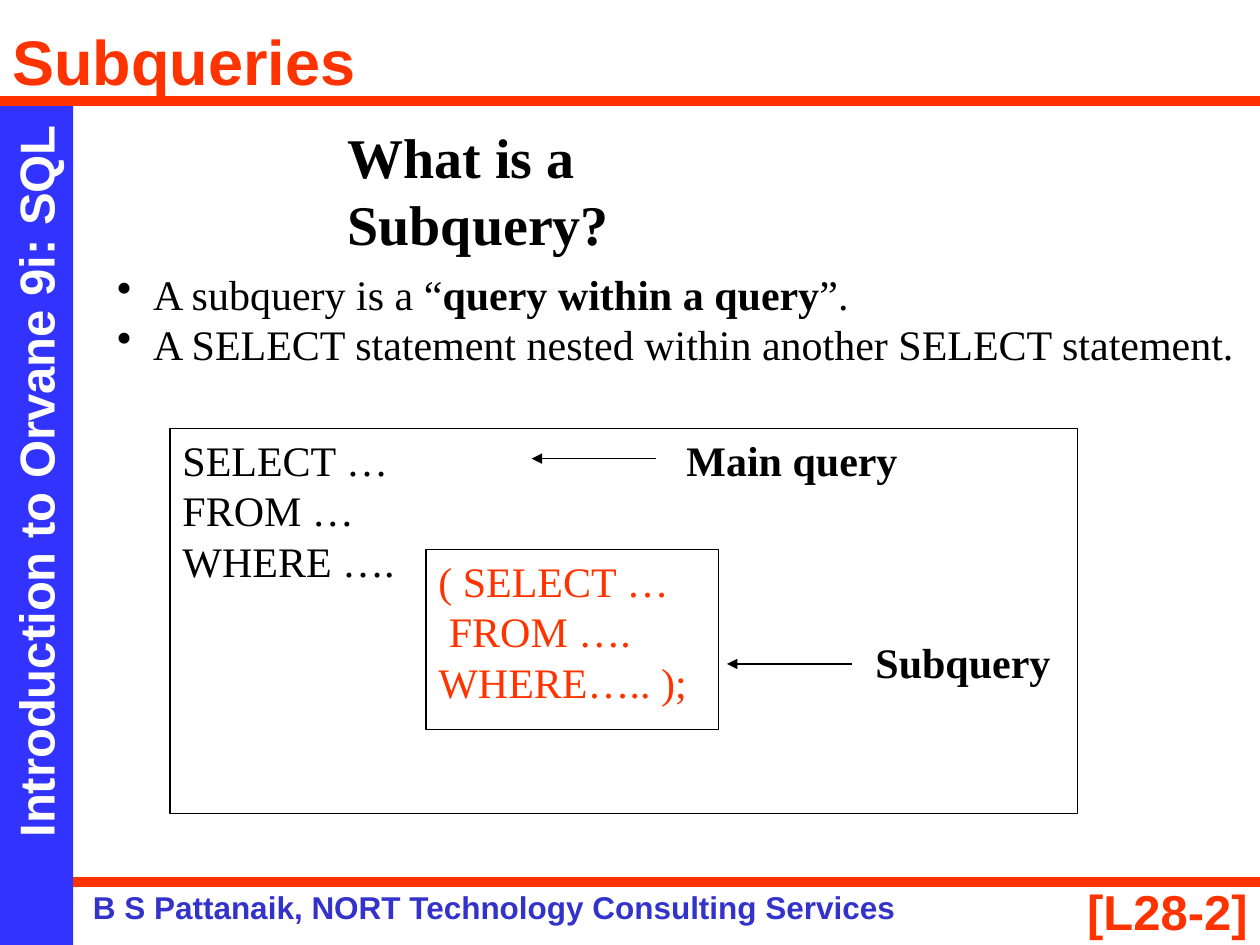
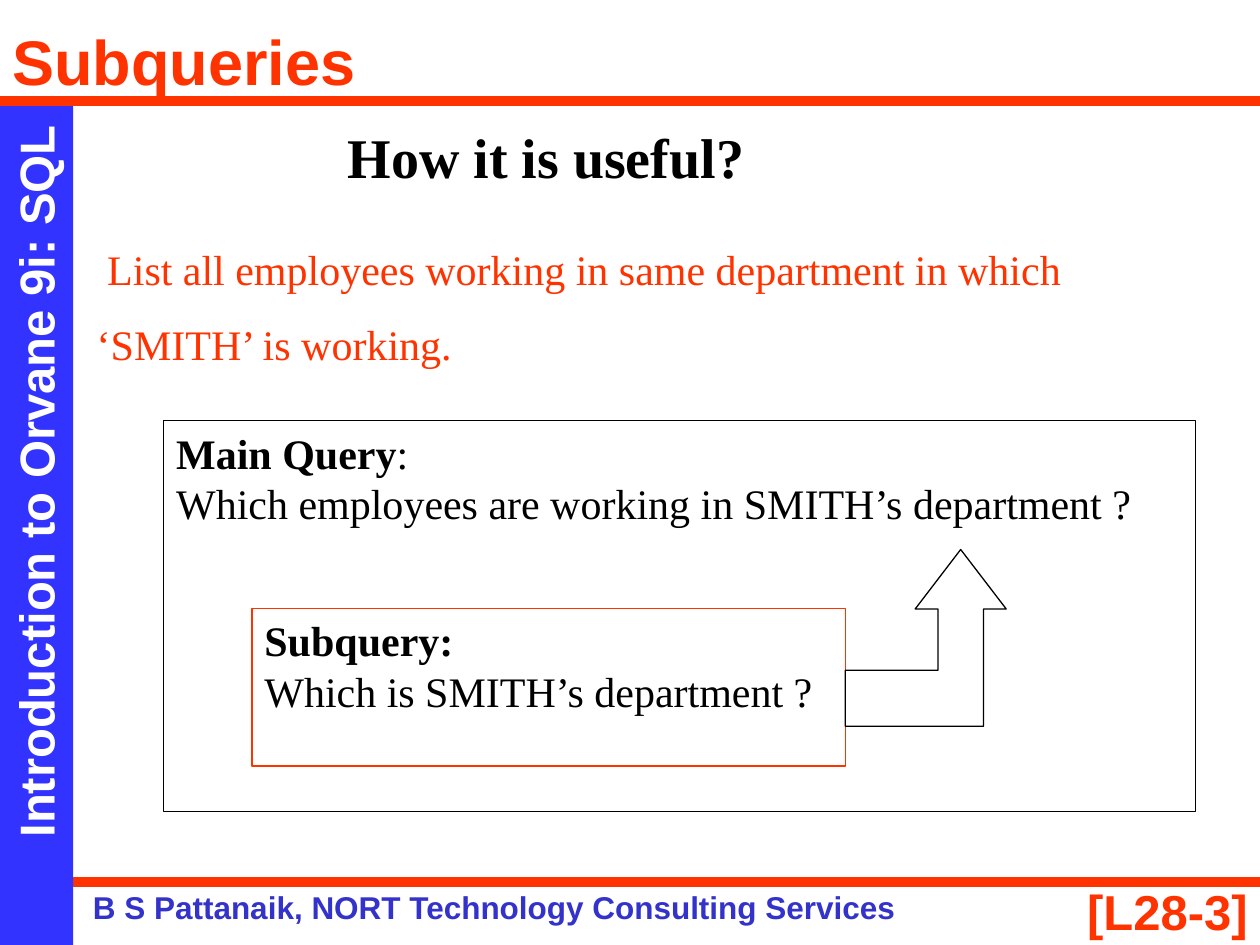
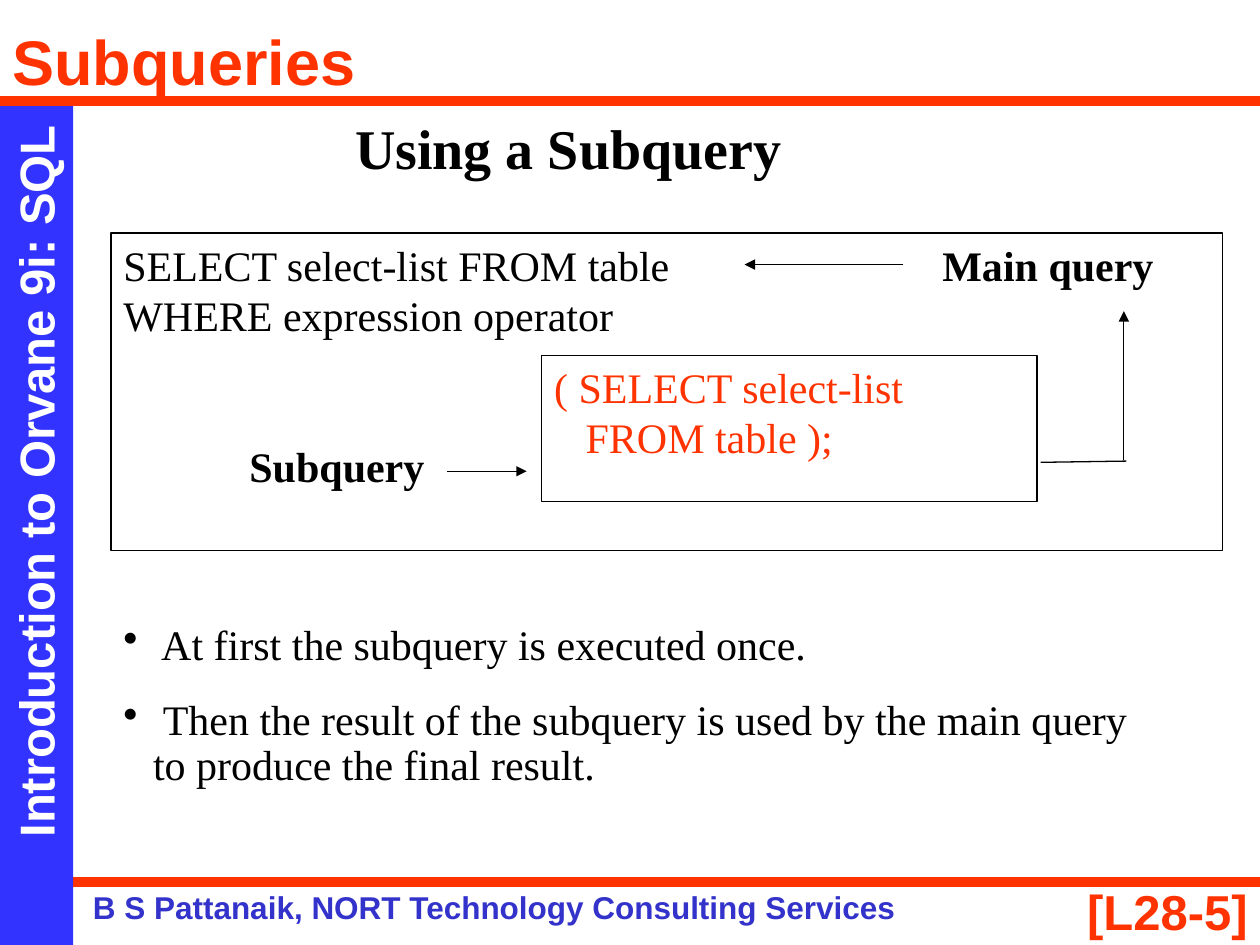
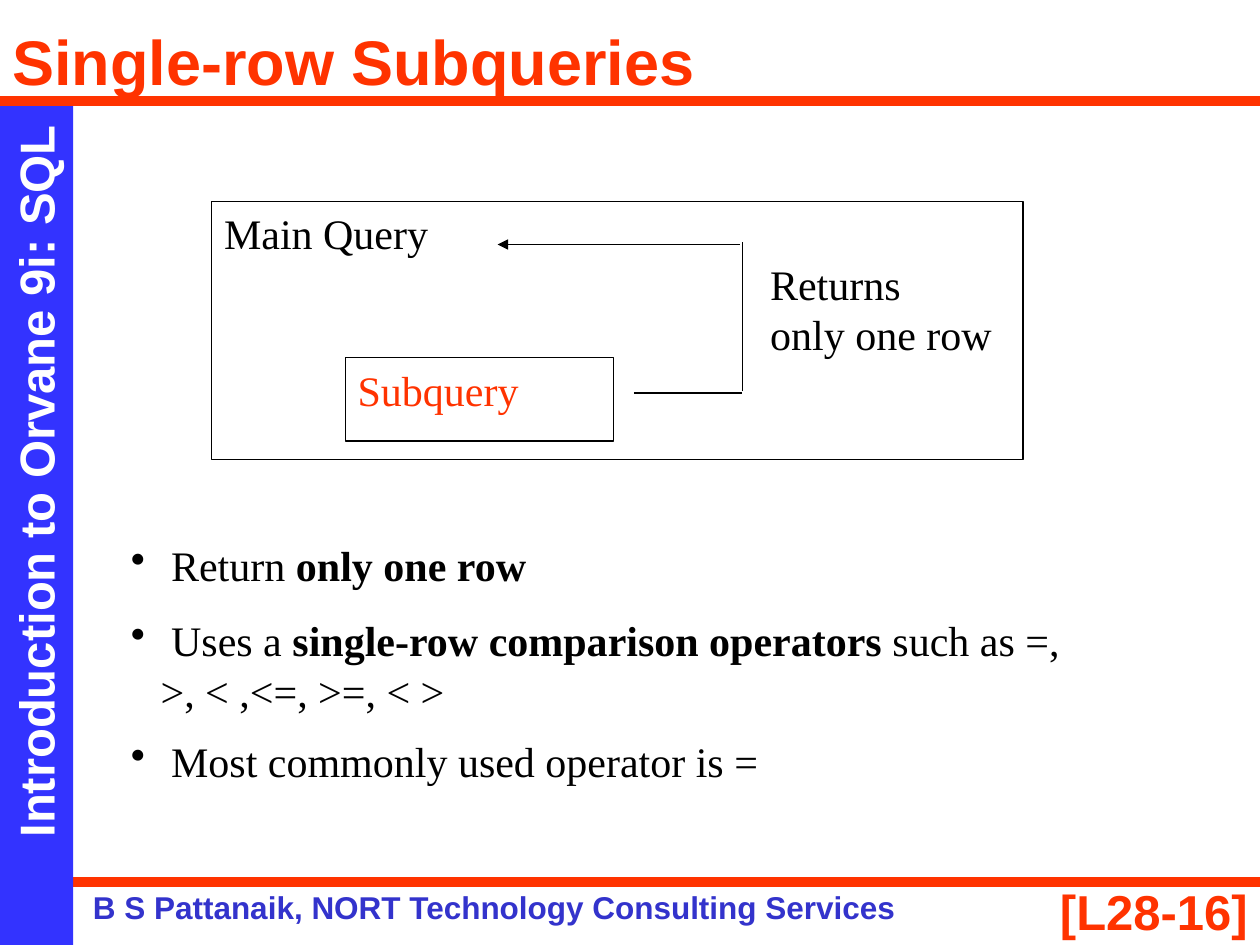
from dataclasses import dataclass

from lxml import etree
from pptx import Presentation
from pptx.dml.color import RGBColor
from pptx.enum.shapes import MSO_CONNECTOR, MSO_SHAPE
from pptx.enum.text import MSO_ANCHOR, PP_ALIGN
from pptx.oxml.ns import qn
from pptx.util import Pt

RECT = MSO_SHAPE.RECTANGLE
LINE = MSO_CONNECTOR.STRAIGHT
TOP = MSO_ANCHOR.TOP
LEFT = PP_ALIGN.LEFT
RIGHT = PP_ALIGN.RIGHT

COLORS = {
    "red": "FF3300",
    "blue": "3333FF",
    "navy": "3333CC",
    "black": "000000",
    "white": "FFFFFF",
}
SANS = "Arial"
SERIF = "Times New Roman"
WIDTH, HEIGHT = 720, 540
TOP_RULE, LOW_RULE = 57.6, 504
SIDE = 41.8
COURSE = "Introduction to Orvane 9i: SQL"
AUTHOR = "B S Pattanaik, NORT Technology Consulting Services"


@dataclass
class Area:
    x: float
    y: float
    w: float
    h: float


@dataclass
class Style:
    size: float = 24
    font: str = SERIF
    color: str = "black"
    bold: bool = False


@dataclass
class Run:
    text: str
    bold: bool = False


@dataclass
class Para:
    runs: list[Run]
    before: float = 0
    space: float = 0
    indent: float = 0
    bullet: bool = False
    tab: float = 0
    align: PP_ALIGN = LEFT


@dataclass
class Box:
    area: Area
    paras: list[Para]
    style: Style
    edge: str = "black"


@dataclass
class Stroke:
    x1: float
    y1: float
    x2: float
    y2: float
    arrow: bool = True
    color: str = "black"
    width: float = 0.75


BODY = Style()
CODE = Style(color="red")
HEAD = Style(size=32, bold=True)
TITLE = Style(36, SANS, "red", True)
PAGE = Style(28, SANS, "red", True)
BAND = Style(28, SANS, "white", True)
FOOT = Style(18, SANS, "navy", True)


def rgb(name: str) -> RGBColor:
    return RGBColor.from_string(COLORS[name])


def plain(text: str, **more) -> Para:
    return Para([Run(text)], **more)


def strong(text: str, **more) -> Para:
    return Para([Run(text, True)], **more)


def place(area: Area) -> list[Pt]:
    return [Pt(n) for n in (area.x, area.y, area.w, area.h)]


def format_para(item, para: Para) -> None:
    props = item._p.get_or_add_pPr()
    if para.indent:
        props.set("marL", str(Pt(para.indent)))
        props.set("indent", str(-Pt(para.indent) if para.bullet else 0))
    if para.bullet:
        etree.SubElement(props, qn("a:buChar")).set("char", "•")
    if para.tab:
        tabs = etree.SubElement(props, qn("a:tabLst"))
        etree.SubElement(tabs, qn("a:tab"), pos=str(Pt(para.tab)), algn="l")
    item.alignment = para.align
    if para.space:
        item.line_spacing = para.space
    if para.before:
        item.space_before = Pt(para.before)


def write(frame, paras: list[Para], style: Style, wrap: bool = True) -> None:
    frame.word_wrap = wrap
    frame.vertical_anchor = TOP
    for i, para in enumerate(paras):
        item = frame.add_paragraph() if i else frame.paragraphs[0]
        format_para(item, para)
        for part in para.runs:
            run = item.add_run()
            run.text = part.text
            run.font.name = style.font
            run.font.size = Pt(style.size)
            run.font.bold = style.bold or part.bold
            run.font.color.rgb = rgb(style.color)


def draw_text(slide, area: Area, paras: list[Para], style: Style,
              wrap: bool = True, turn: float = 0) -> None:
    shape = slide.shapes.add_textbox(*place(area))
    shape.rotation = turn
    write(shape.text_frame, paras, style, wrap)


def paint(shape, fill: str, edge: str = "") -> None:
    shape.shadow.inherit = False
    shape.fill.solid()
    shape.fill.fore_color.rgb = rgb(fill)
    if edge:
        shape.line.color.rgb = rgb(edge)
        shape.line.width = Pt(0.75)
    else:
        shape.line.fill.background()


def draw_box(slide, box: Box) -> None:
    shape = slide.shapes.add_shape(RECT, *place(box.area))
    paint(shape, "white", box.edge)
    write(shape.text_frame, box.paras, box.style)


def draw_line(slide, stroke: Stroke) -> None:
    ends = [Pt(n) for n in (stroke.x1, stroke.y1, stroke.x2, stroke.y2)]
    line = slide.shapes.add_connector(LINE, *ends)
    line.line.color.rgb = rgb(stroke.color)
    line.line.width = Pt(stroke.width)
    if stroke.arrow:
        etree.SubElement(line.line._get_or_add_ln(), qn("a:tailEnd"), type="triangle")
    etree.SubElement(line._element.spPr, qn("a:effectLst"))


def draw_bent(slide, points: list[tuple[float, float]]) -> None:
    maker = slide.shapes.build_freeform(*points[0], scale=float(Pt(1)))
    maker.add_line_segments(points[1:], close=True)
    paint(maker.convert_to_shape(), "white", "black")


def draw_rule(slide, y: float) -> None:
    draw_line(slide, Stroke(0, y, WIDTH, y, False, "red", 6))


def draw_head(slide, text: str, x: float, y: float, w: float) -> None:
    draw_text(slide, Area(x, y, w, 46), [plain(text)], HEAD, wrap=False)


def start(deck, title: str, page: int):
    slide = deck.slides.add_slide(deck.slide_layouts[6])
    draw_rule(slide, LOW_RULE)
    draw_text(slide, Area(588.2, 500.4, 131.8, 33.1),
              [plain(f"[L28-{page}]", align=RIGHT)], PAGE)
    band = slide.shapes.add_shape(RECT, *place(Area(0, TOP_RULE, SIDE, HEIGHT - TOP_RULE)))
    paint(band, "blue")
    draw_rule(slide, TOP_RULE)
    draw_text(slide, Area(-201.6, 243.4, 443.5, 41), [plain(COURSE)], BAND, turn=270)
    draw_text(slide, Area(46, LOW_RULE, 548, 28.8), [plain(AUTHOR)], FOOT)
    draw_text(slide, Area(0, 9.4, 624.2, 50.4), [plain(title)], TITLE)
    return slide


def show_meaning(deck) -> None:
    slide = start(deck, "Subqueries", 2)
    draw_head(slide, "What is a Subquery?", 191.5, 66.2, 301.7)
    draw_text(slide, Area(59.8, 135.4, 658, 79.2), [
        Para([Run(" A subquery is a “"), Run("query within a query", True), Run("”.")],
             space=1.5, indent=16, bullet=True),
        plain(" A SELECT statement nested within another SELECT statement.",
              indent=16, bullet=True),
    ], BODY)
    draw_box(slide, Box(Area(97.2, 244.8, 518.4, 220.3), [
        Para([Run("SELECT …\t"), Run("Main query", True)], tab=288),
        plain("FROM …"),
        plain("WHERE …."),
        strong("Subquery", before=28.8, indent=396),
    ], BODY))
    draw_box(slide, Box(Area(243.4, 313.9, 167, 103), [
        plain("( SELECT …"), plain(" FROM …."), plain("WHERE….. );"),
    ], CODE))
    draw_line(slide, Stroke(375.1, 262.1, 303.8, 262.1))
    draw_line(slide, Stroke(486.7, 379.4, 415.4, 379.4))


def show_use(deck) -> None:
    slide = start(deck, "Subqueries", 3)
    draw_head(slide, "How it is useful?", 191.5, 66.2, 241.2)
    draw_text(slide, Area(48.2, 121, 653.8, 93.6), [
        plain(" List all employees working in same department in which "
              "‘SMITH’ is working.", space=1.5),
    ], CODE)
    draw_box(slide, Box(Area(93.6, 240.5, 589.7, 223.2), [
        Para([Run("Main Query", True), Run(":")]),
        plain("Which employees are working in SMITH’s department ?"),
    ], BODY))
    draw_box(slide, Box(Area(144, 347.8, 339.1, 90), [
        strong("Subquery:"), plain("Which is SMITH’s department ?"),
    ], BODY, "red"))
    draw_bent(slide, [
        (548.6, 313.9), (523.4, 347.8), (536.4, 347.8), (536.4, 383), (483.1, 383),
        (483.1, 415.4), (561.6, 415.4), (561.6, 347.8), (574.6, 347.8),
    ])


def show_syntax(deck) -> None:
    slide = start(deck, "Subqueries", 5)
    draw_head(slide, "Using a Subquery", 195.8, 61.2, 258.5)
    draw_text(slide, Area(63.4, 344.2, 607.7, 110.9), [
        plain(" At first the subquery is executed once.",
              space=1.2, indent=17, bullet=True),
        plain(" Then the result of the subquery is used by the main query "
              "to produce the final result.",
              before=17.3, space=0.9, indent=17, bullet=True),
    ], BODY)
    draw_box(slide, Box(Area(63.4, 133.2, 635, 181.4), [
        Para([Run("SELECT select-list FROM table\t"), Run("Main query", True)], tab=468),
        plain("WHERE expression operator"),
        strong("Subquery", before=57.6, indent=72),
    ], BODY))
    draw_box(slide, Box(Area(309.6, 203, 283, 83.5), [
        plain("( SELECT select-list"), plain("   FROM table );"),
    ], CODE))
    for stroke in (
        Stroke(255.6, 269.3, 301, 269.3),
        Stroke(516.2, 151.2, 425.5, 151.2),
        Stroke(594.7, 264.2, 643.7, 263.5, False),
        Stroke(642.2, 262.8, 642.2, 177.8),
    ):
        draw_line(slide, stroke)


def show_single(deck) -> None:
    slide = start(deck, "Single-row Subqueries", 16)
    draw_box(slide, Box(Area(121, 115.2, 463.7, 147.6), [
        plain("Main Query"),
        plain("Returns", indent=312),
        plain("only one row", indent=312),
    ], BODY))
    draw_box(slide, Box(Area(197.3, 204.5, 153.4, 47.5), [plain("Subquery")], CODE))
    for stroke in (
        Stroke(362.2, 224.6, 424.1, 224.6, False),
        Stroke(424.1, 223.2, 424.1, 138.2, False),
        Stroke(422.6, 139.7, 284.4, 139.7),
    ):
        draw_line(slide, stroke)
    draw_text(slide, Area(67.7, 304.6, 565.2, 175.7), [
        Para([Run(" Return "), Run("only one row", True)], indent=17, bullet=True),
        Para([Run(" Uses a "), Run("single-row comparison operators", True),
              Run(" such as =, >, < ,<=, >=, < >")],
             before=14.4, indent=17, bullet=True),
        plain(" Most commonly used operator is =", before=11.5, indent=17, bullet=True),
    ], BODY)


def main() -> None:
    deck = Presentation()
    deck.slide_width = Pt(WIDTH)
    deck.slide_height = Pt(HEIGHT)
    for show in (show_meaning, show_use, show_syntax, show_single):
        show(deck)
    deck.save("out.pptx")


if __name__ == "__main__":
    main()
